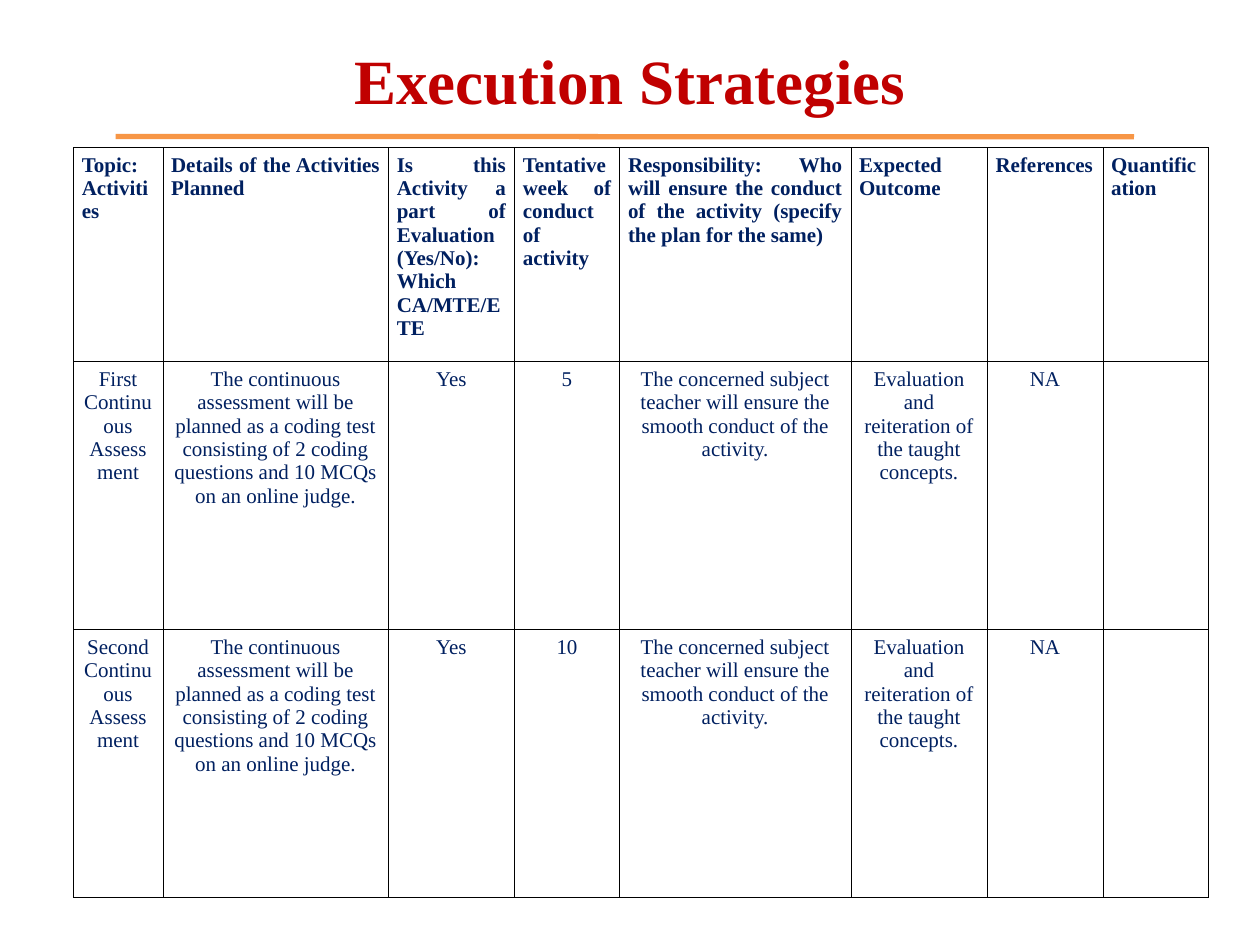
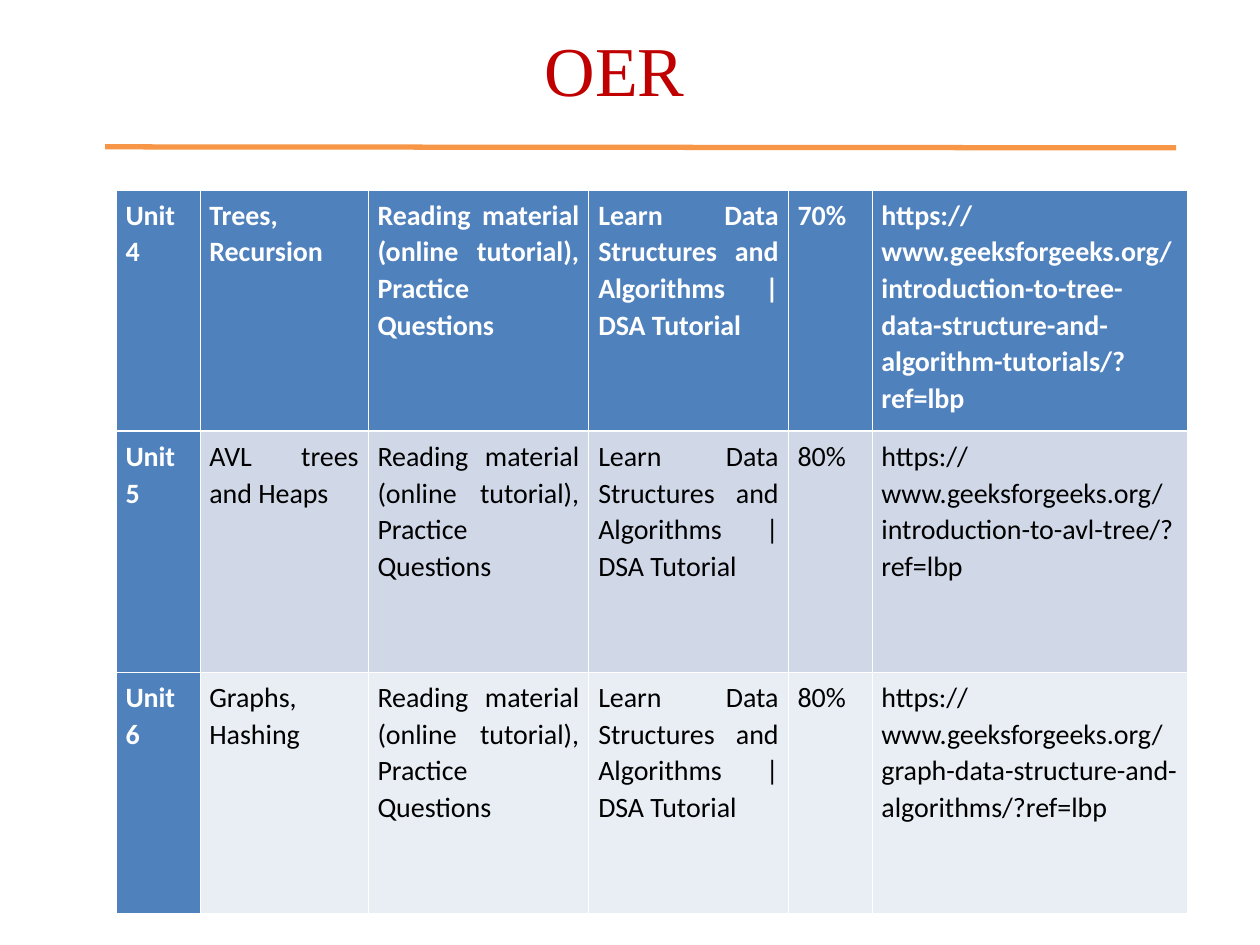
from lxml import etree
from pptx import Presentation
from pptx import util as u
from pptx.dml.color import RGBColor
from pptx.enum import shapes, text
from pptx.oxml import ns

RED, ORANGE, NAVY, BLACK, WHITE = "C00000", "F79646", "002060", "000000", "FFFFFF"
UNIT_BLUE, BAND_DARK, BAND_LIGHT = "4F81BD", "D0D8E8", "E9EDF4"
SERIF, SANS = "Times New Roman", "Calibri"
JUSTIFY, CENTER = text.PP_ALIGN.JUSTIFY, text.PP_ALIGN.CENTER

ASSESSMENT = [
    "The continuous assessment will be planned as a coding test consisting of "
    "2 coding questions and 10 MCQs on an online judge.",
    "Yes",
    "The concerned subject teacher will ensure the smooth conduct of the activity.",
    "Evaluation and reiteration of the taught concepts.",
    "NA",
    "",
]
STRATEGY_HEADINGS = [
    "Topic: Activities",
    "Details of the Activities Planned",
    "Is this Activity a part of Evaluation (Yes/No): Which CA/MTE/ETE",
    "Tentative week of conduct of activity",
    "Responsibility: Who will ensure the conduct of the activity "
    "(specify the plan for the same)",
    "Expected Outcome",
    "References",
    "Quantification",
]
STRATEGY_WEEKS = [("First", "5"), ("Second", "10")]
STRATEGY_COLUMNS = [1.8, 4.55, 2.54, 2.12, 4.66, 2.75, 2.33, 2.12]
STRATEGY_ROWS = [4.29, 5.4, 5.4]

MATERIAL = "Reading material (online tutorial), Practice Questions"
TUTORIAL = "Learn Data Structures and Algorithms |DSA Tutorial"
SITE = "https://www.geeksforgeeks.org/"
UNITS = [
    ("Unit 4", "Trees, Recursion", "70%",
     "introduction-to-tree-data-structure-and-algorithm-tutorials"),
    ("Unit 5", "AVL trees and Heaps", "80%", "introduction-to-avl-tree"),
    ("Unit 6", "Graphs, Hashing", "80%", "graph-data-structure-and-algorithms"),
]
OER_COLUMNS = [1.69, 3.39, 4.45, 4.02, 1.69, 6.35]
OER_ROWS = [4.86] * 3


def rgb(hex_code):
    """Turn a hex string into a colour."""
    return RGBColor.from_string(hex_code)


def set_all(target, values):
    """Set each attribute of the target from a dict."""
    for name, value in values.items():
        setattr(target, name, value)


def write(frame, words, color, font, layout):
    """Fill the first paragraph of a frame with formatted words."""
    paragraph = frame.paragraphs[0]
    paragraph.text = words
    set_all(paragraph, layout)
    set_all(paragraph.font, font)
    paragraph.font.color.rgb = rgb(color)


def add_title(slide, words, box, size, bold):
    """Add the red slide heading."""
    frame = slide.shapes.add_textbox(*map(u.Cm, box)).text_frame
    set_all(frame, {"word_wrap": True, "vertical_anchor": text.MSO_ANCHOR.MIDDLE})
    font = {"name": SERIF, "size": u.Pt(size), "bold": bold}
    write(frame, words, RED, font, {"alignment": CENTER})


def add_rule(slide, ends):
    """Add the orange rule below the heading."""
    rule = slide.shapes.add_connector(shapes.MSO_CONNECTOR.STRAIGHT, *map(u.Cm, ends))
    rule.line.color.rgb = rgb(ORANGE)
    rule.line.width = u.Pt(3)
    etree.SubElement(rule._element.spPr, ns.qn("a:effectLst"))


def add_grid(slide, corner, columns, rows):
    """Add an unbanded table with the given column widths and row heights."""
    size = u.Cm(sum(columns)), u.Cm(sum(rows))
    grid = slide.shapes.add_table(
        len(rows), len(columns), *map(u.Cm, corner), *size).table
    set_all(grid, {"first_row": False, "horz_banding": False})
    for column, width in zip(grid.columns, columns):
        column.width = u.Cm(width)
    for row, height in zip(grid.rows, rows):
        row.height = u.Cm(height)
    return grid


def set_borders(cell, color, widths):
    """Draw the left, right, top and bottom borders of a cell."""
    properties = cell._tc.get_or_add_tcPr()
    for side, width in zip("LRTB", widths):
        edge = etree.SubElement(properties, ns.qn(f"a:ln{side}"), w=str(u.Pt(width)))
        paint = etree.SubElement(edge, ns.qn("a:solidFill"))
        etree.SubElement(paint, ns.qn("a:srgbClr"), val=color)


def fill_cell(cell, words, color, font, layout, inset, fill=None):
    """Write a table cell and paint its background."""
    set_all(cell, {"margin_left": u.Cm(inset), "margin_right": u.Cm(inset)})
    if fill:
        cell.fill.solid()
        cell.fill.fore_color.rgb = rgb(fill)
    else:
        cell.fill.background()
    write(cell.text_frame, words, color, font, layout)


def add_strategy_table(slide):
    """Add the table of planned activities."""
    grid = add_grid(slide, (1.48, 2.97), STRATEGY_COLUMNS, STRATEGY_ROWS)
    details, evaluated, *rest = ASSESSMENT
    activities = [STRATEGY_HEADINGS] + [
        [f"{order} Continuous Assessment", details, evaluated, week, *rest]
        for order, week in STRATEGY_WEEKS]
    for r, activity in enumerate(activities):
        font = {"name": SERIF, "size": u.Pt(12), "bold": r == 0}
        layout = {"alignment": CENTER if r else JUSTIFY}
        for c, words in enumerate(activity):
            cell = grid.cell(r, c)
            set_borders(cell, BLACK, [0.23] * 4)
            fill_cell(cell, words, NAVY, font, layout, 0.17)


def add_oer_table(slide):
    """Add the table of open resources for each unit."""
    grid = add_grid(slide, (2.34, 3.83), OER_COLUMNS, OER_ROWS)
    layout = {"alignment": JUSTIFY, "line_spacing": 1.07, "space_after": u.Pt(8)}
    bands = [UNIT_BLUE, BAND_DARK, BAND_LIGHT]
    for r, (unit, topic, share, page) in enumerate(UNITS):
        resource = [unit, topic, MATERIAL, TUTORIAL, share, f"{SITE}{page}/?ref=lbp"]
        top, bottom = 1.47 if r == 1 else 0.45, 1.47 if r == 0 else 0.45
        for c, words in enumerate(resource):
            heading = r == 0 or c == 0
            font = {"name": SANS, "size": u.Pt(16), "bold": heading}
            cell = grid.cell(r, c)
            set_borders(cell, WHITE, [0.45, 0.45, top, bottom])
            fill_cell(cell, words, WHITE if heading else BLACK, font, layout, 0.19,
                      UNIT_BLUE if heading else bands[r])


def main():
    """Build and save the two slides."""
    deck = Presentation()
    set_all(deck, {"slide_width": u.Cm(25.4), "slide_height": u.Cm(19.05)})
    blank = deck.slide_layouts[6]

    strategies = deck.slides.add_slide(blank)
    add_title(strategies, "Execution Strategies", (1.27, 0, 22.86, 3.18), 36, True)
    add_strategy_table(strategies)
    add_rule(strategies, (2.33, 2.75, 22.86, 2.76))

    oer = deck.slides.add_slide(blank)
    add_title(oer, "OER", (0.64, 0.64, 23.5, 1.48), 40, False)
    add_rule(oer, (2.12, 2.96, 23.71, 2.98))
    add_oer_table(oer)

    deck.save("out.pptx")


if __name__ == "__main__":
    main()
